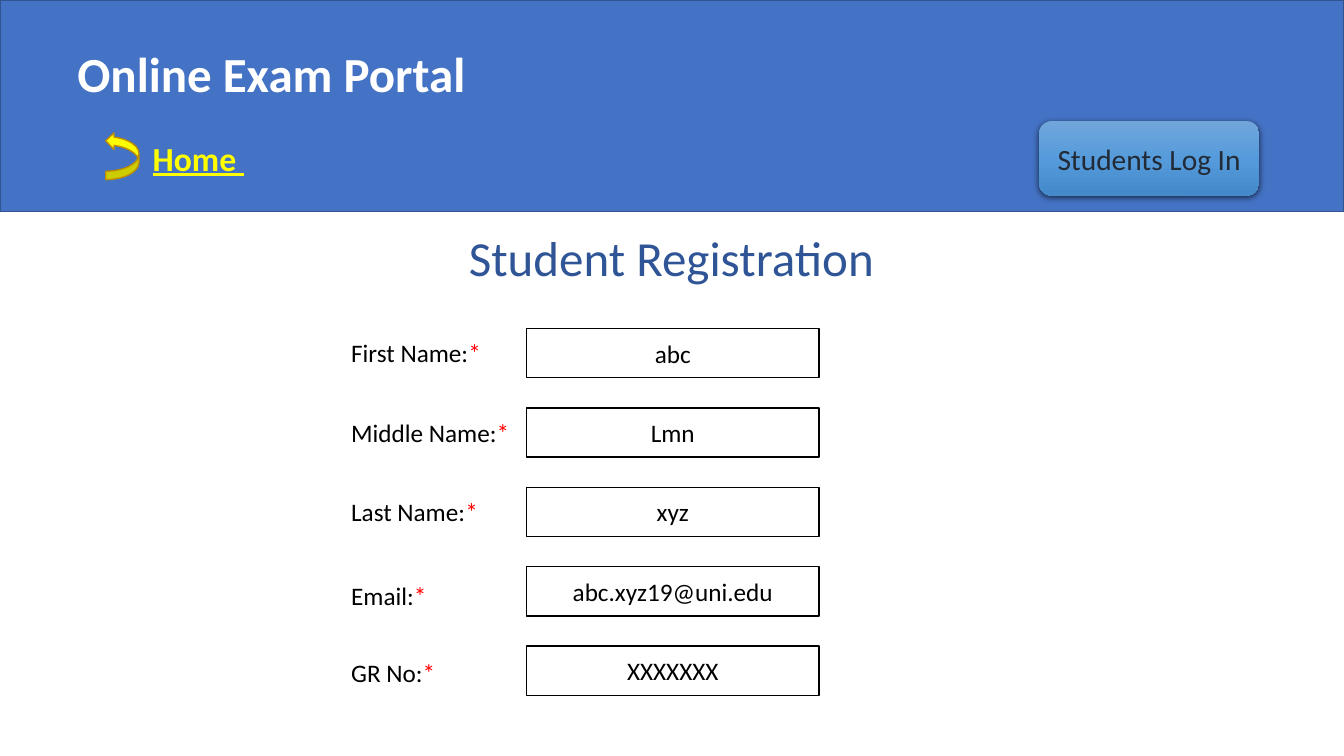
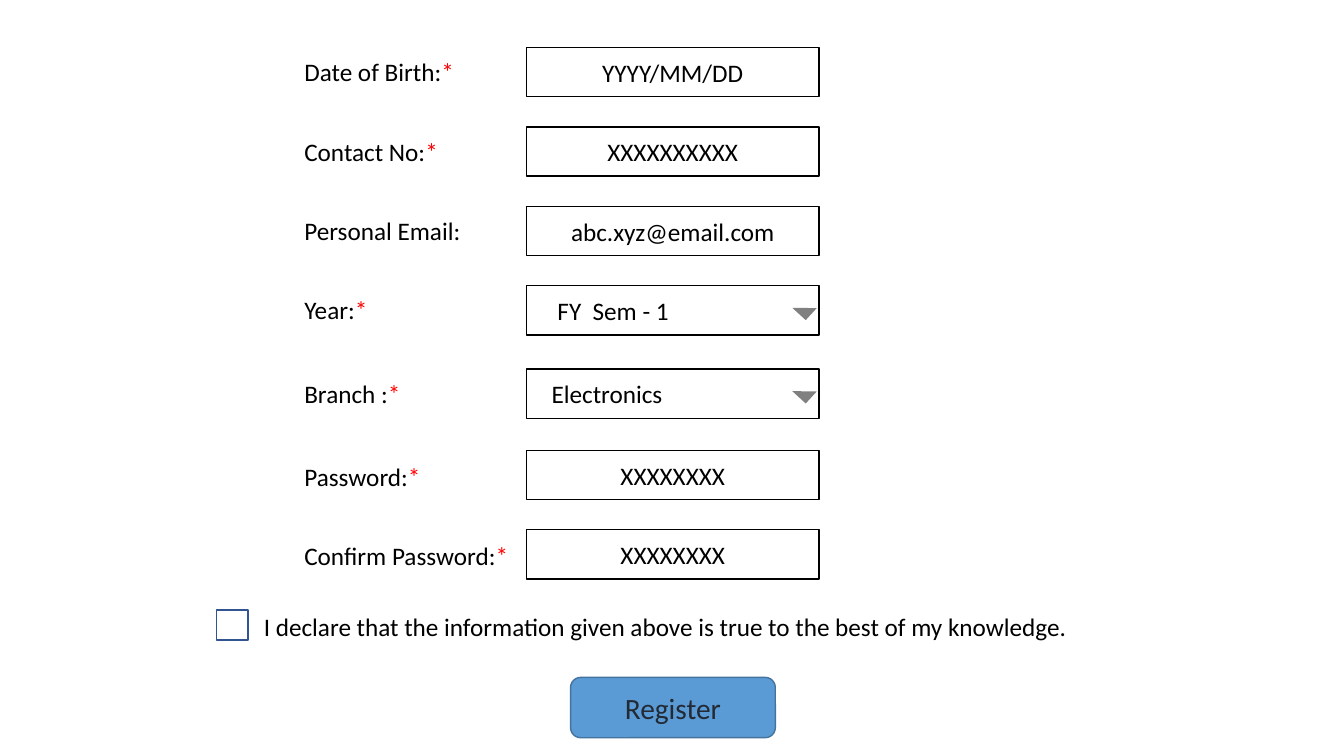
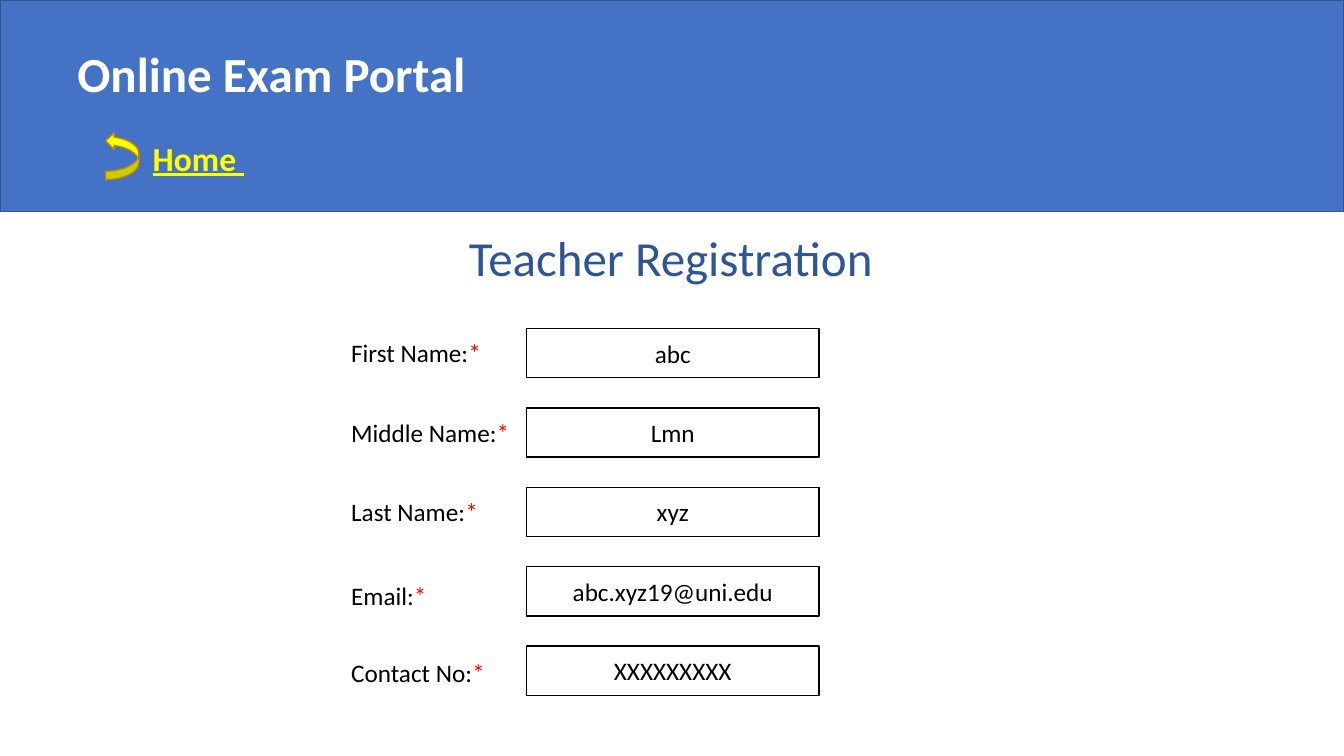
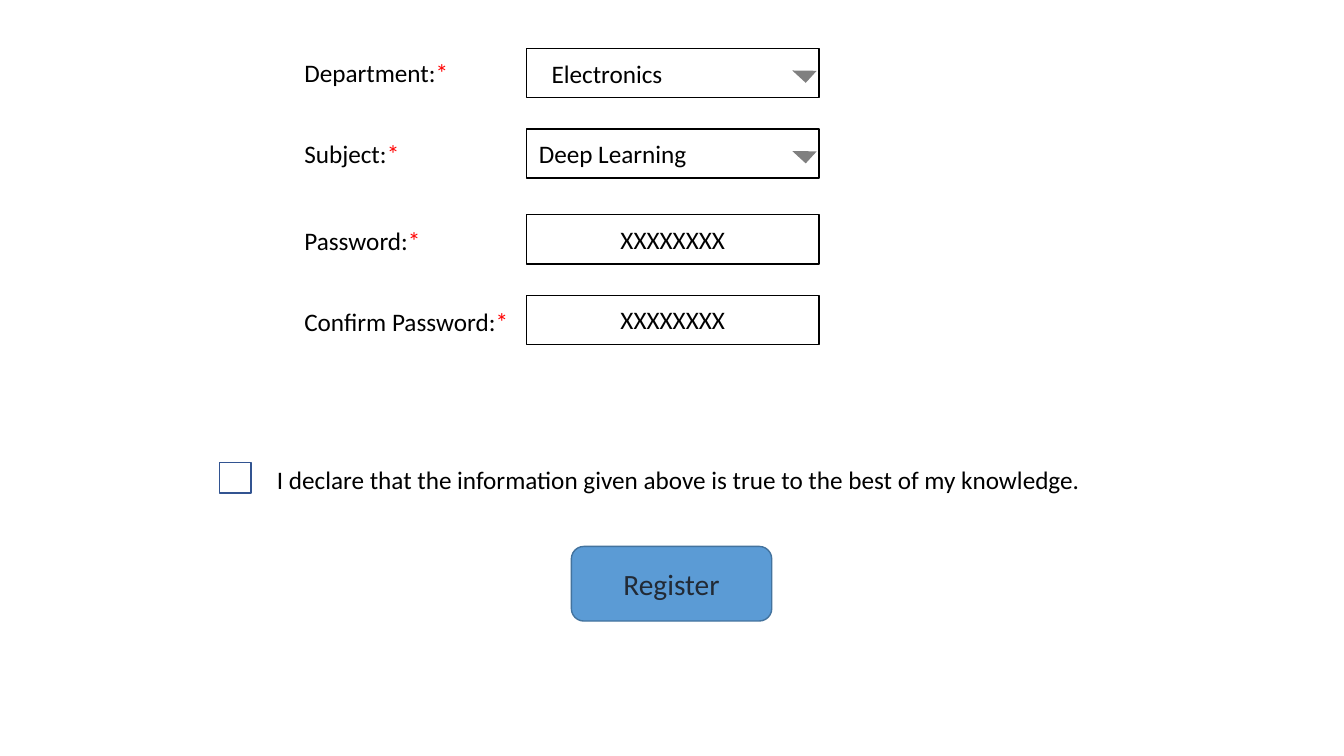
from copy import deepcopy
from dataclasses import dataclass

from lxml import etree
from pptx import Presentation
from pptx.dml.color import RGBColor
from pptx.enum.shapes import MSO_SHAPE
from pptx.enum.text import MSO_ANCHOR, MSO_AUTO_SIZE, PP_ALIGN
from pptx.oxml.ns import qn
from pptx.util import Cm, Pt

RECTANGLE = MSO_SHAPE.RECTANGLE
ROUNDED = MSO_SHAPE.ROUNDED_RECTANGLE
RIGHT_TRIANGLE = MSO_SHAPE.RIGHT_TRIANGLE
CURVED_ARROW = MSO_SHAPE.CURVED_UP_ARROW
TOP, MIDDLE = MSO_ANCHOR.TOP, MSO_ANCHOR.MIDDLE
LEFT, CENTER = PP_ALIGN.LEFT, PP_ALIGN.CENTER
NO_AUTOFIT = MSO_AUTO_SIZE.NONE
TITLE_ONLY, BLANK = 5, 6

FONT = "Calibri"
BLACK, WHITE, RED, YELLOW, GRAY = "000000", "FFFFFF", "FF0000", "FFFF00", "808080"
BAND, BAND_LINE, ARROW_LINE = "4472C4", "325491", "BD8E00"
TITLE_BLUE, BUTTON, BUTTON_LINE, BUTTON_TEXT = "2F5597", "5B9BD5", "43739E", "222A35"
BUTTON_GRADIENT = ("71A6DB", "559BDB", "448ACA")

SLIDE_WIDTH, SLIDE_HEIGHT = 33.87, 19.05
FIELD_LEFT, FIELD_WIDTH, FIELD_HEIGHT = 13.27, 7.37, 1.24
LABEL_HEIGHT = 1.02
ROW_PITCH = 2
DECLARATION = "I declare that the information given above is true to the best of my knowledge."


@dataclass
class Field:
    """One form row; a choice_indent turns the field into a drop-down."""
    label: str
    label_width: float
    value: str
    label_drop: float = 0.1
    required: bool = True
    choice_indent: float = 0


NAME_FIELDS = [
    Field("First Name:", 3.81, "abc"),
    Field("Middle Name:", 4.55, "Lmn"),
    Field("Last Name:", 3.73, "xyz"),
    Field("Email:", 2.44, "abc.xyz19@uni.edu", 0.23),
]
PASSWORD_FIELDS = [
    Field("Password:", 3.48, "XXXXXXXX", 0.15),
    Field("Confirm Password:", 5.72, "XXXXXXXX", 0.15),
]
STUDENT_FIELDS = [
    Field("Date of Birth:", 4.32, "YYYY/MM/DD"),
    Field("Contact No:", 3.91, "XXXXXXXXXX"),
    Field("Personal Email:", 4.5, "abc.xyz@email.com", required=False),
    Field("Year:", 2.13, "FY  Sem - 1", choice_indent=0.78),
    Field("Branch :", 2.97, "Electronics", choice_indent=0.63),
] + PASSWORD_FIELDS
TEACHER_FIELDS = [
    Field("Department:", 4.34, "Electronics", choice_indent=0.63),
    Field("Subject:", 2.95, "Deep Learning", choice_indent=0.31),
] + PASSWORD_FIELDS


def color(value):
    """Return the colour for a hex string."""
    return RGBColor.from_string(value)


def lengths(box):
    """Turn a box in centimetres into lengths."""
    return [Cm(value) for value in box]


def style_run(run, size, text_color, bold=False, underline=False):
    """Format one run of text."""
    font = run.font
    font.name, font.size, font.color.rgb = FONT, Pt(size), color(text_color)
    font.bold, font.underline = bold, underline


def write(shape, text, size, text_color, align=LEFT, anchor=TOP, wrap=True, **style):
    """Set and format the text of a shape."""
    frame = shape.text_frame
    frame.text = text
    frame.word_wrap, frame.auto_size = wrap, NO_AUTOFIT
    frame.vertical_anchor = anchor
    paragraph = frame.paragraphs[0]
    paragraph.alignment = align
    style_run(paragraph.runs[0], size, text_color, **style)
    return paragraph


def add_text(slide, box, text, size, text_color, **style):
    """Add a text box and return its paragraph."""
    return write(slide.shapes.add_textbox(*lengths(box)), text, size, text_color, **style)


def add_shape(slide, kind, box, fill=None, line=None):
    """Add a flat preset shape."""
    shape = slide.shapes.add_shape(kind, *lengths(box))
    shape.shadow.inherit = False
    if fill:
        shape.fill.solid()
        shape.fill.fore_color.rgb = color(fill)
    else:
        shape.fill.background()
    if line:
        shape.line.color.rgb = color(line)
        shape.line.width = Pt(1)
    else:
        shape.line.fill.background()
    return shape


def add_button(slide, box, text, line=BUTTON_LINE):
    """Add a rounded button with its caption."""
    button = add_shape(slide, ROUNDED, box, BUTTON, line)
    write(button, text, 21, BUTTON_TEXT, align=CENTER, anchor=MIDDLE)
    return button


def raise_button(button):
    """Give a button a three-stop gradient and a soft shadow."""
    fill = button.fill
    fill.gradient()
    fill.gradient_angle = 270
    stops = button.element.spPr.find(".//" + qn("a:gsLst"))
    stops.insert(1, deepcopy(stops[0]))
    for index, stop in enumerate(fill.gradient_stops):
        stop.position = index / 2
        stop.color.rgb = color(BUTTON_GRADIENT[index])
    effects = button.element.spPr.find(qn("a:effectLst"))
    shadow = etree.SubElement(effects, qn("a:outerShdw"), blurRad=str(Pt(4.5)),
                              dist=str(Pt(1.5)), dir="5400000", algn="ctr", rotWithShape="0")
    shadow_color = etree.SubElement(shadow, qn("a:srgbClr"), val=BLACK)
    etree.SubElement(shadow_color, qn("a:alpha"), val="63000")


def add_header(slide, box):
    """Draw the portal band with its name and the way home."""
    left, top = box[:2]
    add_shape(slide, RECTANGLE, box, BAND, BAND_LINE)
    add_text(slide, (left + 1.7, top + 0.97, 11.02, 1.75), "Online Exam Portal", 35, WHITE,
             bold=True)
    add_text(slide, (left + 3.6, top + 3.35, 3.54, 1.27), "Home ", 24, YELLOW,
             bold=True, underline=True)
    arrow = add_shape(slide, CURVED_ARROW, (left + 2.49, top + 3.51, 1.19, 0.84),
                      YELLOW, ARROW_LINE)
    arrow.rotation = 270


def add_title(slide, box, text):
    """Place and format the slide title."""
    title = slide.shapes.title
    title.left, title.top, title.width, title.height = lengths(box)
    write(title, text, 35, TITLE_BLUE, wrap=False)


def add_field(slide, label_left, top, field):
    """Draw one label with its input field."""
    label_box = (label_left, top + field.label_drop, field.label_width, LABEL_HEIGHT)
    label = add_text(slide, label_box, field.label, 18, BLACK, wrap=False)
    if field.required:
        star = label.add_run()
        star.text = "*"
        style_run(star, 18, RED)
    entry = add_shape(slide, RECTANGLE, (FIELD_LEFT, top, FIELD_WIDTH, FIELD_HEIGHT), line=BLACK)
    write(entry, field.value, 18, BLACK, anchor=MIDDLE,
          align=LEFT if field.choice_indent else CENTER)
    if field.choice_indent:
        entry.text_frame.margin_left = Cm(field.choice_indent)
        marker = add_shape(slide, RIGHT_TRIANGLE,
                           (FIELD_LEFT + 6.8, top + 0.33, 0.41, 0.46), GRAY)
        marker.rotation = 312.5


def add_form(slide, label_left, tops, fields):
    """Draw the form rows at the given heights."""
    for top, field in zip(tops, fields):
        add_field(slide, label_left, top, field)


def add_declaration(slide, left, top, text_offset):
    """Draw the check box with the declaration beside it."""
    add_shape(slide, RECTANGLE, (left, top, 0.79, 0.76), WHITE, BAND_LINE)
    add_text(slide, (left + text_offset, top - 0.08, 21.5, LABEL_HEIGHT),
             DECLARATION, 18, BLACK)


def add_first_page(presentation, title, last_field):
    """Build the opening slide of a registration."""
    slide = presentation.slides.add_slide(presentation.slide_layouts[TITLE_ONLY])
    add_header(slide, (0, 0, SLIDE_WIDTH, 5.33))
    add_title(slide, (11.56, 5.61, 10.82, 1.75), title)
    fields = NAME_FIELDS + [last_field]
    tops = [8.28 + ROW_PITCH * row for row in range(len(fields))]
    add_form(slide, 8.6, tops, fields)
    return slide


def add_second_page(presentation, tops, fields, declaration, button_box):
    """Build the closing slide of a registration."""
    slide = presentation.slides.add_slide(presentation.slide_layouts[BLANK])
    add_form(slide, 7.42, tops, fields)
    add_declaration(slide, *declaration)
    add_button(slide, button_box, "Register")


def main():
    """Build and save the four slides."""
    presentation = Presentation()
    presentation.slide_width, presentation.slide_height = Cm(SLIDE_WIDTH), Cm(SLIDE_HEIGHT)

    student_page = add_first_page(presentation, "Student Registration",
                                  Field("GR No:", 2.67, "XXXXXXX", 0.15))
    raise_button(add_button(student_page, (26.19, 3.05, 5.54, 1.88), "Students Log In", None))
    add_second_page(presentation, (1.2, 3.2, 5.2, 7.2, 9.3, 11.35, 13.35), STUDENT_FIELDS,
                    (5.46, 15.37, 0.94), (14.38, 17.07, 5.16, 1.52))

    add_first_page(presentation, "Teacher Registration",
                   Field("Contact No:", 3.91, "XXXXXXXXX", 0.15))
    add_second_page(presentation, (1.22, 3.25, 5.41, 7.44), TEACHER_FIELDS,
                    (5.54, 11.66, 1.19), (14.4, 13.77, 5.05, 1.88))
    presentation.save("out.pptx")


main()
